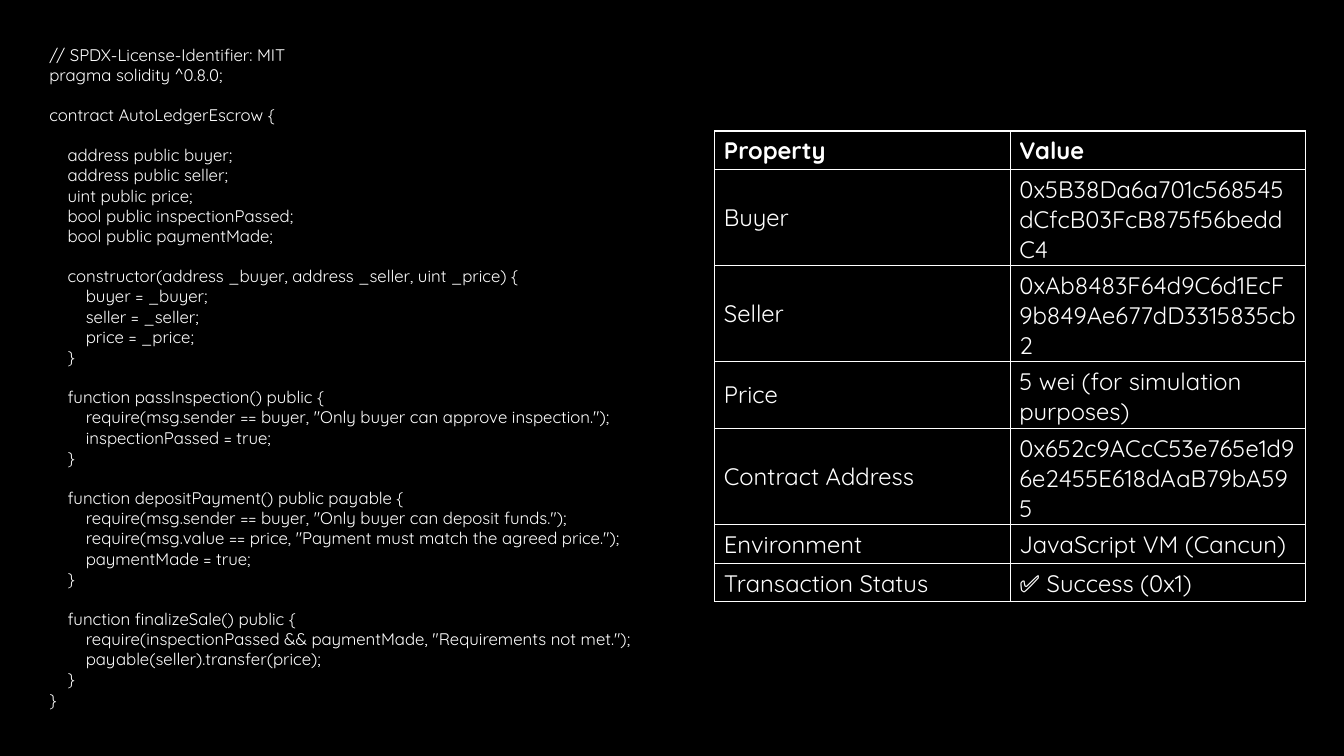
import pptx
import pptx.util
import pptx.dml.color
import pptx.enum.text
import pptx.oxml
import pptx.oxml.ns
from pptx.util import Inches

FONT = "Quicksand"
WHITE = "FFFFFF"
BLACK = "000000"
CODE_BLOCKS = [
    '''// SPDX-License-Identifier: MIT
pragma solidity ^0.8.0;''',
    "contract AutoLedgerEscrow {",
    '''    address public buyer;
    address public seller;
    uint public price;
    bool public inspectionPassed;
    bool public paymentMade;''',
    '''    constructor(address _buyer, address _seller, uint _price) {
        buyer = _buyer;
        seller = _seller;
        price = _price;
    }''',
    '''    function passInspection() public {
        require(msg.sender == buyer, "Only buyer can approve inspection.");
        inspectionPassed = true;
    }''',
    '''    function depositPayment() public payable {
        require(msg.sender == buyer, "Only buyer can deposit funds.");
        require(msg.value == price, "Payment must match the agreed price.");
        paymentMade = true;
    }''',
    '''    function finalizeSale() public {
        require(inspectionPassed && paymentMade, "Requirements not met.");
        payable(seller).transfer(price);
    }
}''',
]
ROWS = [
    ("Property", "Value", 0.37),
    ("Buyer", "0x5B38Da6a701c568545dCfcB03FcB875f56beddC4", 0.65),
    ("Seller", "0xAb8483F64d9C6d1EcF9b849Ae677dD3315835cb2", 0.65),
    ("Price", "5 wei (for simulation purposes)", 0.37),
    ("Contract Address", "0x652c9ACcC53e765e1d96e2455E618dAaB79bA595", 0.65),
    ("Environment", "JavaScript VM (Cancun)", 0.37),
    ("Transaction Status", "✅ Success (0x1)", 0.37),
]


def rgb(value):
    return pptx.dml.color.RGBColor.from_string(value)


def write(p, text, size, bold=False):
    r = p.add_run()
    r.text = text
    formats = {"name": FONT, "size": pptx.util.Pt(size), "bold": bold}
    for key, value in formats.items():
        setattr(r.font, key, value)
    r.font.color.rgb = rgb(WHITE)


def add_code(s, left, top, width, height):
    tf = s.shapes.add_textbox(
        Inches(left), Inches(top), Inches(width), Inches(height)).text_frame
    tf.word_wrap = True
    p = tf.paragraphs[0]
    for b, block in enumerate(CODE_BLOCKS):
        for i, line in enumerate(block.split("\n")):
            if b or i:
                p = tf.add_paragraph()
            if b and i == 0:
                p.space_before = pptx.util.Pt(14.4)
            write(p, line, 12)


def add_borders(cell):
    tc_pr = cell._tc.get_or_add_tcPr()
    for i, side in enumerate(("lnL", "lnR", "lnT", "lnB")):
        tc_pr.insert(i, pptx.oxml.parse_xml(
            f'<a:{side} {pptx.oxml.ns.nsdecls("a")} w="12700"><a:solidFill>'
            f'<a:srgbClr val="{WHITE}"/></a:solidFill></a:{side}>'))


def add_properties(s, left, top, width):
    height = sum(row[2] for row in ROWS)
    table = s.shapes.add_table(
        len(ROWS), 2, Inches(left), Inches(top),
        Inches(width), Inches(height)).table
    for column in table.columns:
        column.width = Inches(width / 2)
    formats = {
        "vertical_anchor": pptx.enum.text.MSO_ANCHOR.MIDDLE,
        "margin_left": Inches(0.09), "margin_right": Inches(0.09),
        "margin_top": Inches(0.05), "margin_bottom": Inches(0.05),
    }
    for i, (name, value, row_height) in enumerate(ROWS):
        table.rows[i].height = Inches(row_height)
        for j, text in enumerate((name, value)):
            cell = table.cell(i, j)
            for key, setting in formats.items():
                setattr(cell, key, setting)
            cell.fill.background()
            add_borders(cell)
            write(cell.text_frame.paragraphs[0], text, 17, bold=i == 0)


def main():
    prs = pptx.Presentation()
    prs.slide_width = Inches(13.33)
    prs.slide_height = Inches(7.5)
    s = prs.slides.add_slide(prs.slide_layouts[6])
    s.background.fill.solid()
    s.background.fill.fore_color.rgb = rgb(BLACK)
    add_code(s, 0.39, 0.39, 7.48, 6.77)
    add_properties(s, 7.09, 1.3, 5.86)
    prs.save("out.pptx")


if __name__ == "__main__":
    main()
